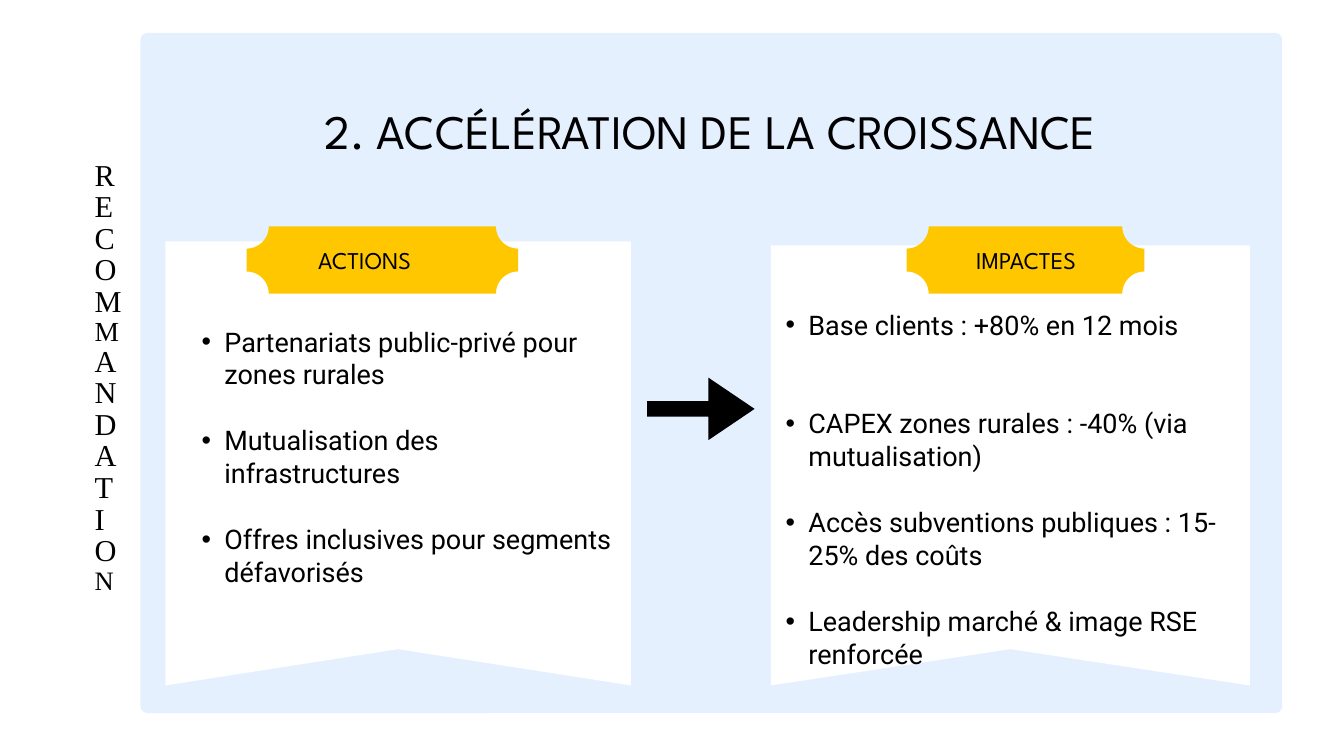
from pptx import Presentation
from pptx.dml.color import RGBColor
from pptx.enum.shapes import MSO_SHAPE
from pptx.enum.text import MSO_ANCHOR, MSO_AUTO_SIZE, PP_ALIGN
from pptx.util import Inches, Pt

PALE_BLUE = RGBColor(0xE5, 0xF0, 0xFF)
WHITE = RGBColor(0xFF, 0xFF, 0xFF)
YELLOW = RGBColor(0xFF, 0xC7, 0x00)
BLACK = RGBColor(0x00, 0x00, 0x00)

TWO_CONTENT = 3
HEADING_FONT, BODY_FONT, SIDE_FONT = "League Spartan", "Roboto", "Times New Roman"
LEADING = 1.22       # line pitch as a share of the text size
SIDE_LEADING = 1.04
BODY_SIZE = 28.9

ACTIONS = [
    "Partenariats public-privé pour zones rurales",
    "Mutualisation des infrastructures",
    "Offres inclusives pour segments défavorisés",
]
IMPACTS = [
    "Base clients : +80% en 12 mois",
    "CAPEX zones rurales : -40% (via mutualisation)",
    "Accès subventions publiques : 15-25% des coûts",
    "Leadership marché & image RSE renforcée",
]


class SlideBuilder:
    """Holds the current slide and draws its elements in the deck's style."""

    def __init__(self, slide):
        self.slide = slide
        self.shapes = slide.shapes

    def paint(self, shape, color):
        shape.fill.solid()
        shape.fill.fore_color.rgb = color
        shape.line.fill.background()
        shape.shadow.inherit = False

    def preset(self, kind, color, left, top, width, height, *adjustments):
        shape = self.shapes.add_shape(
            kind, Inches(left), Inches(top), Inches(width), Inches(height))
        for index, value in enumerate(adjustments):
            shape.adjustments[index] = value
        self.paint(shape, color)

    def banner(self, left, top, right, bottom, notch=0.54):
        """White sheet whose lower edge rises to a point in the middle."""
        outline = self.shapes.build_freeform(
            Inches(left), Inches(top), scale=1.0)
        corners = [(right, top), (right, bottom),
                   ((left + right) / 2, bottom - notch), (left, bottom)]
        outline.add_line_segments(
            [(Inches(x), Inches(y)) for x, y in corners], close=True)
        self.paint(outline.convert_to_shape(), WHITE)

    def frame(self, shape, left, top, width, height):
        """Place a text shape and strip its margins."""
        shape.left, shape.top = Inches(left), Inches(top)
        shape.width, shape.height = Inches(width), Inches(height)
        frame = shape.text_frame
        frame.word_wrap = True
        frame.auto_size = MSO_AUTO_SIZE.NONE
        frame.vertical_anchor = MSO_ANCHOR.TOP
        frame.margin_left = frame.margin_right = 0
        frame.margin_top = frame.margin_bottom = 0
        return frame

    def placeholder(self, index, *box):
        """Bring a template placeholder in front of the drawn shapes."""
        holder = self.slide.placeholders[index]
        self.shapes._spTree.append(holder._element)
        return self.frame(holder, *box)

    def text_box(self, *box):
        return self.frame(self.shapes.add_textbox(0, 0, 0, 0), *box)

    def style(self, paragraph, font, size, align=PP_ALIGN.LEFT, leading=LEADING):
        paragraph.font.name = font
        paragraph.font.size = Pt(size)
        paragraph.font.color.rgb = BLACK
        paragraph.alignment = align
        paragraph.line_spacing = Pt(size * leading)
        paragraph.space_before = Pt(0)

    def heading(self, frame, text, size):
        frame.text = text
        self.style(frame.paragraphs[0], HEADING_FONT, size, PP_ALIGN.CENTER)

    def bullets(self, frame, items, first_gap=1):
        """Bulleted list; gaps are counted in lines."""
        frame.text = "\n".join(items)
        for number, paragraph in enumerate(frame.paragraphs):
            self.style(paragraph, BODY_FONT, BODY_SIZE)
            gap = first_gap if number == 0 else 1
            paragraph.space_after = Pt(BODY_SIZE * LEADING * gap)
            properties = paragraph._p.get_or_add_pPr()
            properties.set("marL", str(Inches(0.68)))
            properties.set("indent", str(Inches(-0.34)))

    def vertical_word(self, frame, word, size, smaller):
        """One letter a line; smaller maps a position to its own size."""
        frame.text = "\n".join(word)
        for position, paragraph in enumerate(frame.paragraphs):
            self.style(paragraph, SIDE_FONT, smaller.get(position, size),
                       leading=SIDE_LEADING)


def main():
    deck = Presentation()
    deck.slide_width, deck.slide_height = Inches(20), Inches(11.25)
    builder = SlideBuilder(
        deck.slides.add_slide(deck.slide_layouts[TWO_CONTENT]))

    # Background panel and the two sheets
    builder.preset(MSO_SHAPE.ROUNDED_RECTANGLE, PALE_BLUE,
                   2.09, 0.49, 16.99, 10.12, 0.01)
    builder.banner(2.46, 3.59, 9.39, 10.2)
    builder.banner(11.47, 3.65, 18.6, 10.2)

    # Ticket labels and the arrow between the sheets
    for left, width in ((3.67, 4.04), (13.49, 3.54)):
        builder.preset(MSO_SHAPE.PLAQUE, YELLOW, left, 3.37, width, 1, 0.33)
    builder.preset(MSO_SHAPE.RIGHT_ARROW, BLACK,
                   9.63, 5.62, 1.6, 0.93, 0.25, 0.74)

    # Title and lists
    builder.bullets(builder.placeholder(1, 2.66, 4.83, 6.53, 4.32), ACTIONS)
    builder.heading(builder.placeholder(0, 2.63, 1.5, 15.87, 0.85),
                    "2. ACCÉLÉRATION DE LA CROISSANCE", 51.5)
    builder.bullets(builder.placeholder(2, 11.35, 4.58, 7.15, 5.76), IMPACTS,
                    first_gap=2)

    # Ticket captions
    for caption, left, width in (("ACTIONS", 2.63, 5.59),
                                 ("IMPACTES", 11.88, 6.78)):
        builder.heading(builder.text_box(left, 3.65, width, 0.43),
                        caption, 25.8)

    # Side word
    builder.vertical_word(builder.text_box(1.41, 2.39, 0.81, 6.47),
                          "RECOMMANDATION", 32.5, {5: 29.5, 13: 28.5})

    deck.save("out.pptx")


if __name__ == "__main__":
    main()
